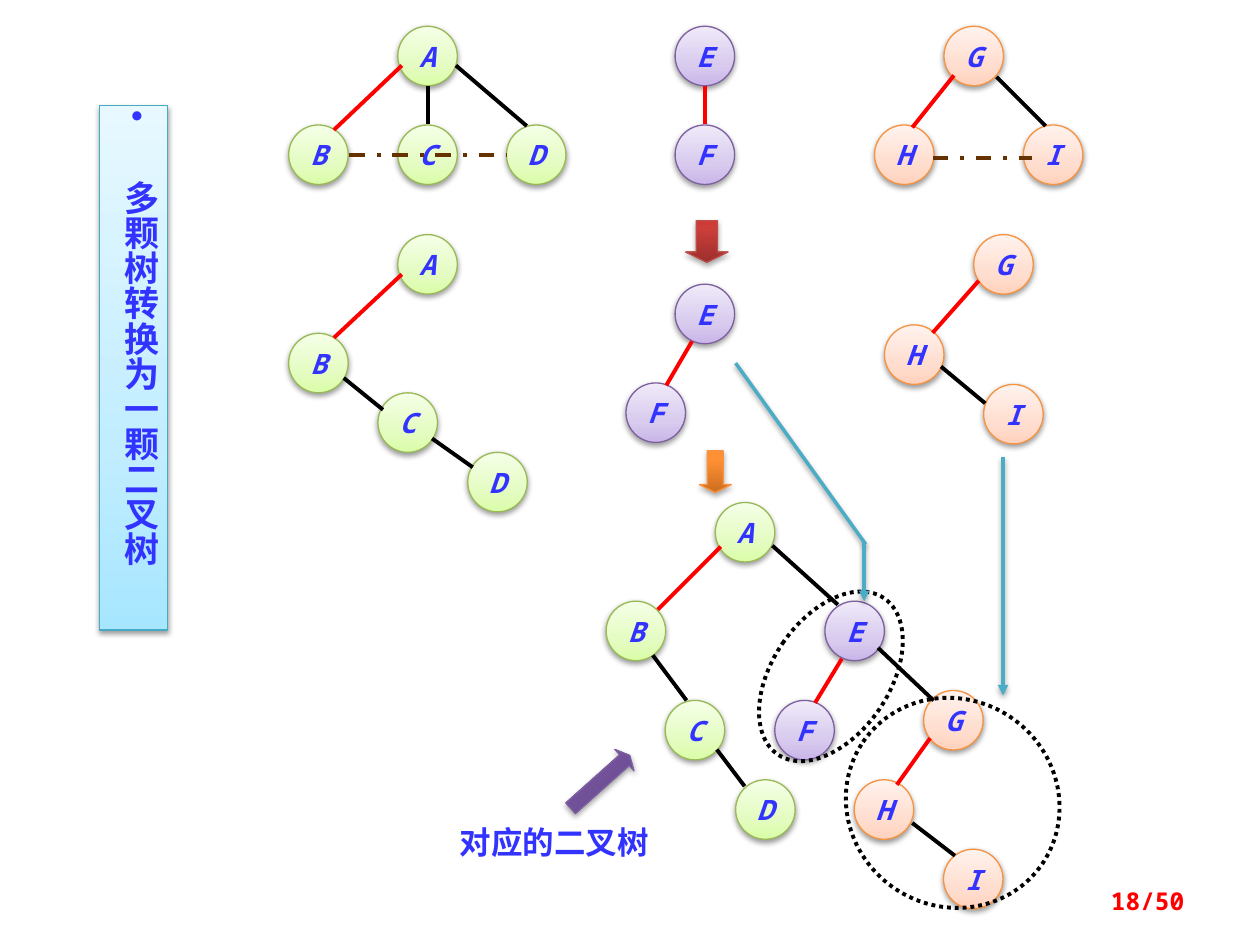
"""Build a slide that turns a forest of three trees into one binary tree."""
from lxml import etree
from pptx import Presentation, util as u
from pptx.dml.color import RGBColor
from pptx.enum import dml, shapes, text
from pptx.oxml import parse_xml
from pptx.oxml.ns import qn, nsdecls

RED = RGBColor(0xFF, 0, 0)
BLACK = RGBColor(0, 0, 0)
BLUE = RGBColor(0x33, 0x33, 0xFF)
BROWN = RGBColor(0x66, 0x33, 0)
TEAL = RGBColor(0x4B, 0xAC, 0xC6)
MONO, HAN, HAN_JP = "Noto Sans Mono", "Noto Sans CJK SC", "Noto Sans CJK JP"
KIND = shapes.MSO_SHAPE
SIZE = 1.2

LOOKS = {
    "green": (("DAFDA7", "E4FCC2", "F5FFE7"), 35, RGBColor(0x98, 0xB9, 0x55)),
    "violet": (("C9B5E8", "D8CBEE", "F0EAF9"), 35, RGBColor(0x7D, 0x60, 0xA0)),
    "peach": (("FFD2BD", "FFDED0", "FFF2ED"), 35, RGBColor(0xF6, 0x92, 0x40)),
    "sky": (("A7E6FF", "C1EDFF", "E7F8FF"), 35, RGBColor(0x46, 0xAA, 0xC5)),
    "brick": (("9C2F2D", "CB3E3A", "CE3B37"), 80, RGBColor(0xBF, 0x4C, 0x48)),
    "orange": (("CC6E20", "FF9034", "FF9136"), 80, RGBColor(0xF6, 0x92, 0x40)),
    "plum": (("5F4480", "7B58A6", "7C57A8"), 80, RGBColor(0x7D, 0x60, 0xA0)),
}
FAMILY = {**dict.fromkeys("ABCD", "green"), **dict.fromkeys("EF", "violet"),
          **dict.fromkeys("GHI", "peach")}

FOREST = {"A": (8.02, 0.53), "B": (5.82, 2.52), "C": (8.02, 2.52),
          "D": (10.21, 2.52), "E": (13.61, 0.53), "F": (13.61, 2.52),
          "G": (19.03, 0.53), "H": (17.63, 2.52), "I": (20.63, 2.52)}
BINARY = {"A": (8.02, 4.73), "B": (5.82, 6.72), "C": (7.62, 7.92),
          "D": (9.43, 9.12), "E": (13.61, 5.73), "F": (12.62, 7.72),
          "G": (19.63, 4.73), "H": (17.83, 6.55), "I": (19.83, 7.75)}
JOINED = {"A": (14.42, 10.13), "B": (12.22, 12.12), "C": (13.41, 14.12),
          "D": (14.83, 15.72), "E": (16.63, 12.12), "F": (15.62, 14.12),
          "G": (18.62, 13.92), "H": (17.22, 15.72), "I": (19.02, 17.12)}

CHILD = [(8.1, 1.32, 6.73, 2.62), (14.22, 1.73, 14.22, 2.51),
         (19.23, 1.52, 18.39, 2.57), (8.1, 5.53, 6.73, 6.81),
         (13.95, 6.88, 13.43, 7.77), (19.73, 5.66, 18.8, 6.71),
         (18.75, 14.88, 18.08, 15.82), (14.53, 11.02, 13.26, 12.29),
         (16.97, 13.28, 16.43, 14.17)]
OTHER = [(8.63, 1.73, 8.63, 2.51), (9.19, 1.32, 10.62, 2.54),
         (20.09, 1.55, 21.08, 2.54), (6.93, 7.62, 7.72, 8.26),
         (8.71, 8.84, 9.53, 9.42), (18.97, 7.39, 19.86, 8.13),
         (18.39, 16.59, 19.25, 17.25), (13.16, 13.21, 13.84, 14.12),
         (14.45, 15.11, 15.01, 15.85), (15.57, 11, 16.89, 12.19),
         (17.7, 13.06, 18.82, 14.12)]
SIBLING = [(7.04, 3.12, 10.21, 3.12), (18.8, 3.18, 20.8, 3.18)]
MOVES = [((14.83, 7.32, 17.45, 10.97), False),
         ((17.42, 10.92, 17.42, 12.12), True),
         ((20.22, 9.22, 20.22, 14.02), True)]
RINGS = [(15.57, 11.73, 2.36, 3.81), (17.02, 14.1, 4.37, 4.17)]
ARROWS = [(KIND.DOWN_ARROW, (13.82, 4.45, 0.86, 0.84), "brick", 0),
          (KIND.DOWN_ARROW, (14.1, 9.09, 0.64, 0.84), "orange", 0),
          (KIND.RIGHT_ARROW, (11.3, 15.47, 1.6, 0.58), "plum", 318.2)]

deck = Presentation()
deck.slide_width, deck.slide_height = u.Cm(25.4), u.Cm(19.05)
slide = deck.slides.add_slide(deck.slide_layouts[6])


def cast(item, alpha=38, dist=20000):
    item._element.spPr.append(parse_xml(
        f'<a:effectLst {nsdecls("a")}><a:outerShdw blurRad="40000" dist="{dist}" '
        f'dir="5400000" rotWithShape="0"><a:srgbClr val="000000">'
        f'<a:alpha val="{alpha}000"/></a:srgbClr></a:outerShdw></a:effectLst>'))


def shape(kind, box, look=None):
    item = slide.shapes.add_shape(kind, *map(u.Cm, box))
    item.fill.background()
    if not look:
        item.shadow.inherit = False
        return item
    tones, mid, edge = LOOKS[look]
    stops = "".join(f'<a:gs pos="{pos}000"><a:srgbClr val="{tone}"/></a:gs>'
                    for pos, tone in zip((0, mid, 100), tones))
    props = item._element.spPr
    props.replace(props.find(qn("a:noFill")), parse_xml(
        f'<a:gradFill {nsdecls("a")} rotWithShape="1"><a:gsLst>{stops}</a:gsLst>'
        '<a:lin ang="16200000" scaled="0"/></a:gradFill>'))
    item.line.color.rgb, item.line.width = edge, u.Pt(0.75)
    cast(item, *((38, 20000) if mid == 35 else (35, 23000)))
    return item


def write(item, words, size, face, color=BLUE, align=None, slant=None):
    para = item.text_frame.paragraphs[0]
    para.alignment = align
    run = para.add_run()
    run.text = words
    font = run.font
    font.size, font.name, font.bold, font.italic = u.Pt(size), face, True, slant
    font.color.rgb = color
    etree.SubElement(run._r.get_or_add_rPr(), qn("a:ea")).set("typeface", face)


def line(ends, color, width=2.25, dash=None, head=False, shade=False):
    item = slide.shapes.add_connector(shapes.MSO_CONNECTOR.STRAIGHT, *map(u.Cm, ends))
    item.line.color.rgb, item.line.width = color, u.Pt(width)
    if dash:
        item.line.dash_style = dash
    if head:
        etree.SubElement(item.line._get_or_add_ln(), qn("a:tailEnd")).set("type", "triangle")
    if shade:
        cast(item)
    else:
        etree.SubElement(item._element.spPr, qn("a:effectLst"))


def label(box, words, size, face, color=BLUE, align=None):
    item = slide.shapes.add_textbox(*map(u.Cm, box))
    item.text_frame.word_wrap = True
    item.text_frame.vertical_anchor = text.MSO_ANCHOR.MIDDLE
    write(item, words, size, face, color, align)


def main():
    for tree in (FOREST, BINARY, JOINED):
        for name, spot in tree.items():
            node = shape(KIND.OVAL, (*spot, SIZE, SIZE), FAMILY[name])
            node.text_frame.word_wrap = False
            node.text_frame.vertical_anchor = text.MSO_ANCHOR.MIDDLE
            write(node, name, 16, MONO, align=text.PP_ALIGN.CENTER, slant=True)
    for color, edges in ((RED, CHILD), (BLACK, OTHER)):
        for ends in edges:
            line(ends, color)
    for kind, box, look, turn in ARROWS:
        arrow = shape(kind, box, look)
        arrow.rotation = turn
        arrow.adjustments[0], arrow.adjustments[1] = 0.5, 0.25
    for box in RINGS:
        ring = shape(KIND.OVAL, box)
        ring.rotation = 34.2
        ring.line.color.rgb, ring.line.width = BLACK, u.Pt(2.25)
        ring.line.dash_style = dml.MSO_LINE.ROUND_DOT
    for ends, head in MOVES:
        line(ends, TEAL, 2, head=head, shade=True)
    for ends in SIBLING:
        line(ends, BROWN, dash=dml.MSO_LINE.DASH_DOT)

    title = shape(KIND.RECTANGLE, (2, 2.13, 1.38, 10.57), "sky")
    title.text_frame.word_wrap = True
    title.text_frame.vertical_anchor = text.MSO_ANCHOR.TOP
    title.text_frame._txBody.bodyPr.set("vert", "eaVert")
    props = title.text_frame.paragraphs[0]._p.get_or_add_pPr()
    props.set("marL", str(u.Cm(1.27)))
    props.set("indent", str(u.Cm(-1.27)))
    tint = etree.SubElement(props, qn("a:buClr"))
    etree.SubElement(tint, qn("a:srgbClr")).set("val", str(BLUE))
    etree.SubElement(props, qn("a:buChar")).set("char", "•")
    write(title, "多颗树转换为一颗二叉树", 20, HAN_JP, align=text.PP_ALIGN.CENTER)

    label((9.02, 16.46, 4.67, 1.02), "对应的二叉树", 18, HAN)
    label((18.21, 17.65, 5.92, 1.02), "18/50", 14, MONO, RED, text.PP_ALIGN.RIGHT)
    deck.save("out.pptx")


if __name__ == "__main__":
    main()
